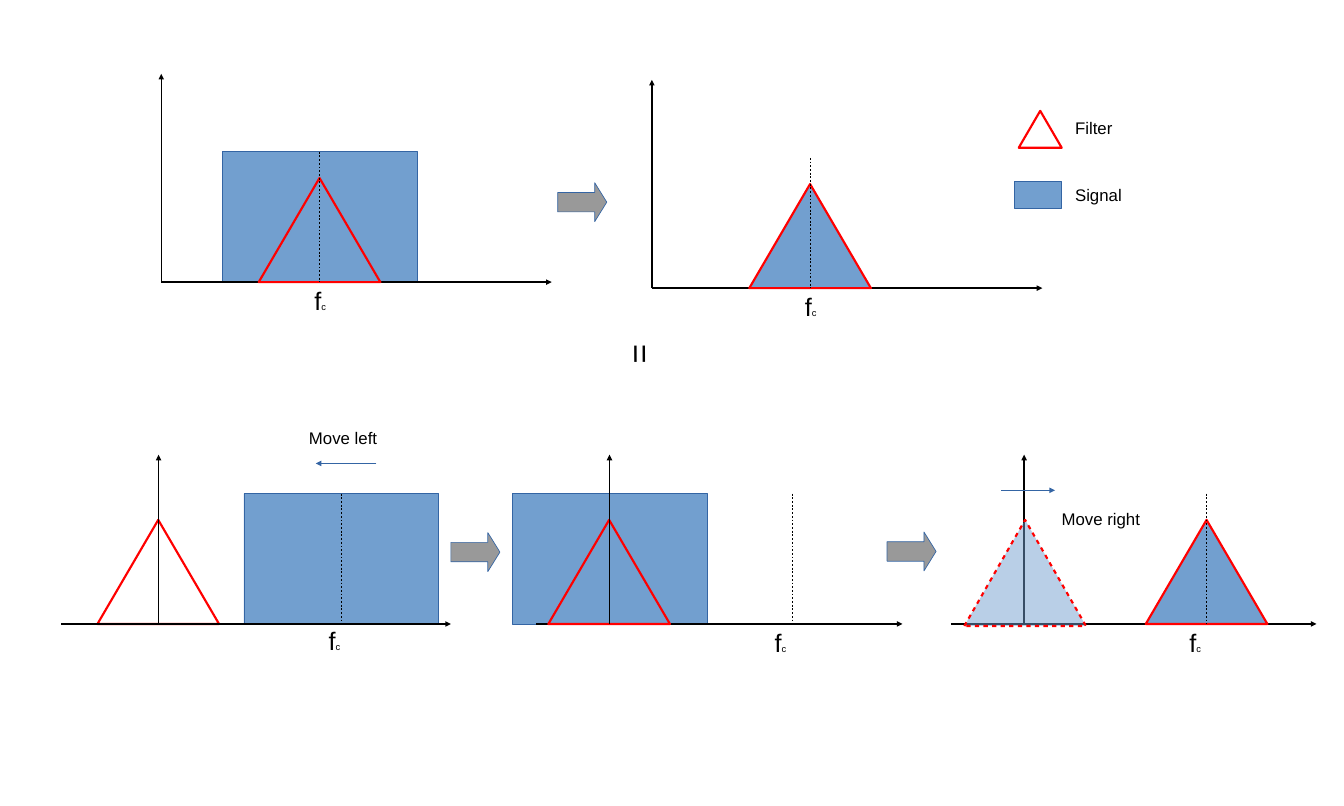
from dataclasses import dataclass

from lxml.etree import SubElement
from pptx import Presentation
from pptx.dml.color import RGBColor
from pptx.enum.shapes import MSO_CONNECTOR, MSO_SHAPE as SHAPE
from pptx.oxml.ns import qn
from pptx.util import Emu, Pt

PX = 9144
SIGNAL_W, SIGNAL_H = 290, 194
FILTER_W, FILTER_H = 181, 155


@dataclass(frozen=True)
class Theme:
    """Colours, type sizes and line widths of the slide."""
    font: str = "Arial"
    ink: str = "000000"
    signal: str = "729FCF"
    outline: str = "3465A4"
    filter: str = "FF0000"
    step: str = "999999"
    paper: str = "FFFFFF"
    label: float = 18
    symbol: float = 27.1
    subscript: float = 10
    equals: float = 36
    hairline: float = 0
    carrier: float = 1
    axis: float = 1.5
    edge: float = 2.3


THEME = Theme()


def px(length):
    """Turn px into EMU."""
    return Emu(length * PX)


def dash(line):
    """Give a line short, evenly spaced dashes."""
    pattern = SubElement(line._get_or_add_ln(), qn("a:custDash"))
    SubElement(pattern, qn("a:ds"), d="200000", sp="200000")


def add_text(slide, box, *parts, color=THEME.ink, rotation=0):
    """Write one line made of (wording, size) parts in a box."""
    label = slide.shapes.add_textbox(*map(px, box))
    label.rotation = rotation
    frame = label.text_frame
    frame.word_wrap = True
    for wording, size in parts:
        run = frame.paragraphs[0].add_run()
        run.text = wording
        run.font.name = THEME.font
        run.font.size = Pt(size)
        run.font.color.rgb = RGBColor.from_string(color)


def add_figure(slide, kind, box, fill=None, edge=THEME.outline,
               width=THEME.hairline, opacity=100, dashed=False):
    """Draw a preset shape, filled or open."""
    figure = slide.shapes.add_shape(kind, *map(px, box))
    figure.shadow.inherit = False
    if fill:
        figure.fill.solid()
        figure.fill.fore_color.rgb = RGBColor.from_string(fill)
        if opacity < 100:
            tint = figure.fill._xPr.find(qn("a:solidFill"))[0]
            SubElement(tint, qn("a:alpha"), val=str(opacity * 1000))
    else:
        figure.fill.background()
    figure.line.color.rgb = RGBColor.from_string(edge)
    figure.line.width = Pt(width)
    if dashed:
        dash(figure.line)
    return figure


def add_line(slide, start, end, color=THEME.ink, width=THEME.axis,
             arrow=True, dashed=False):
    """Draw a straight line, with an arrowhead at its end if wanted."""
    stroke = slide.shapes.add_connector(
        MSO_CONNECTOR.STRAIGHT, *map(px, start + end))
    SubElement(stroke._element.spPr, qn("a:effectLst"))
    stroke.line.color.rgb = RGBColor.from_string(color)
    stroke.line.width = Pt(width)
    if dashed:
        dash(stroke.line)
    if arrow:
        SubElement(stroke.line._get_or_add_ln(), qn("a:tailEnd"), type="triangle")


def add_filter(slide, center, base, height=FILTER_H, fill=THEME.signal, **style):
    """Draw the filter triangle standing on a baseline."""
    add_figure(slide, SHAPE.ISOSCELES_TRIANGLE,
               (center - FILTER_W // 2 - 1, base - height, FILTER_W, height),
               fill, THEME.filter, THEME.edge, **style)


def add_spectrum(slide, box, carrier, filter_at, origin=0, signal_at=None,
                 ghost_at=None, filter_fill=THEME.signal, axis_in_front=False,
                 label_shift=(-36, 0)):
    """Draw one spectrum; horizontal places are offsets from the box's left."""
    left, top, width, height = box
    base = top + height
    x_axis = (left, base), (left + width, base)
    if signal_at is not None:
        add_figure(slide, SHAPE.RECTANGLE,
                   (left + signal_at - SIGNAL_W // 2, base - SIGNAL_H,
                    SIGNAL_W, SIGNAL_H), THEME.signal)
    if not axis_in_front:
        add_line(slide, *x_axis)
    add_filter(slide, left + filter_at, base, fill=filter_fill)
    add_line(slide, (left + origin, base), (left + origin, top))
    add_line(slide, (left + carrier, base - SIGNAL_H), (left + carrier, base),
             width=THEME.carrier, arrow=False, dashed=True)
    if axis_in_front:
        add_line(slide, *x_axis)
    if ghost_at is not None:
        add_filter(slide, left + ghost_at, base + 3, FILTER_H + 3,
                   opacity=49, dashed=True)
    shift_x, shift_y = label_shift
    add_text(slide, (left + carrier + shift_x, base + shift_y, 65, 61),
             ("f", THEME.symbol), ("c", THEME.subscript))


def add_step(slide, left, top):
    """Draw a block arrow from one spectrum to the next."""
    step = add_figure(slide, SHAPE.RIGHT_ARROW, (left, top, 73, 58), THEME.step)
    step.adjustments[1] = 0.31


def add_legend(slide, left, top):
    """Explain the filter and signal marks."""
    add_figure(slide, SHAPE.ISOSCELES_TRIANGLE, (left + 6, top, 64, 55),
               edge=THEME.filter, width=THEME.edge)
    add_figure(slide, SHAPE.RECTANGLE, (left, top + 105, 70, 40), THEME.signal)
    for wording, drop in (("Filter", 5), ("Signal", 105)):
        add_text(slide, (left + 80, top + drop, 160, 38), (wording, THEME.label))


def add_move(slide, wording, label_at, start, end):
    """Draw a labelled arrow for a shift in frequency."""
    add_line(slide, start, end, THEME.outline)
    add_text(slide, label_at + (150, 38), (wording, THEME.label))


def add_direct_filtering(slide, left, top):
    """Draw the upper row: filtering at the carrier frequency."""
    add_spectrum(slide, (left, top, 581, 310), carrier=236, filter_at=236,
                 signal_at=236, label_shift=(-18, 0))
    add_step(slide, left + 590, top + 162)
    add_spectrum(slide, (left + 730, top + 9, 581, 310), carrier=236,
                 filter_at=236, label_shift=(-18, 0))
    add_legend(slide, left + 1270, top + 55)


def add_shifted_filtering(slide, left, top):
    """Draw the lower row: shift left, filter, shift back."""
    add_spectrum(slide, (left, top, 580, 252), carrier=417, filter_at=145,
                 origin=145, signal_at=417, filter_fill=THEME.paper,
                 axis_in_front=True, label_shift=(-29, -3))
    add_move(slide, "Move left", (left + 359, top - 45),
             (left + 469, top + 13), (left + 379, top + 13))
    add_step(slide, left + 580, top + 116)
    add_spectrum(slide, (left + 707, top, 545, 252), carrier=381, filter_at=109,
                 origin=109, signal_at=109)
    add_step(slide, left + 1229, top + 115)
    add_spectrum(slide, (left + 1324, top, 544, 252), carrier=381,
                 filter_at=381, origin=109, ghost_at=111)
    add_move(slide, "Move right", (left + 1479, top + 75),
             (left + 1399, top + 53), (left + 1479, top + 53))


def main():
    """Build and save the slide."""
    deck = Presentation()
    deck.slide_width, deck.slide_height = px(2000), px(1200)
    slide = deck.slides.add_slide(deck.slide_layouts[6])
    add_direct_filtering(slide, 240, 110)
    add_text(slide, (873, 502, 116, 119), ("=", THEME.equals), rotation=89.7)
    add_shifted_filtering(slide, 91, 677)
    deck.save("out.pptx")


if __name__ == "__main__":
    main()
